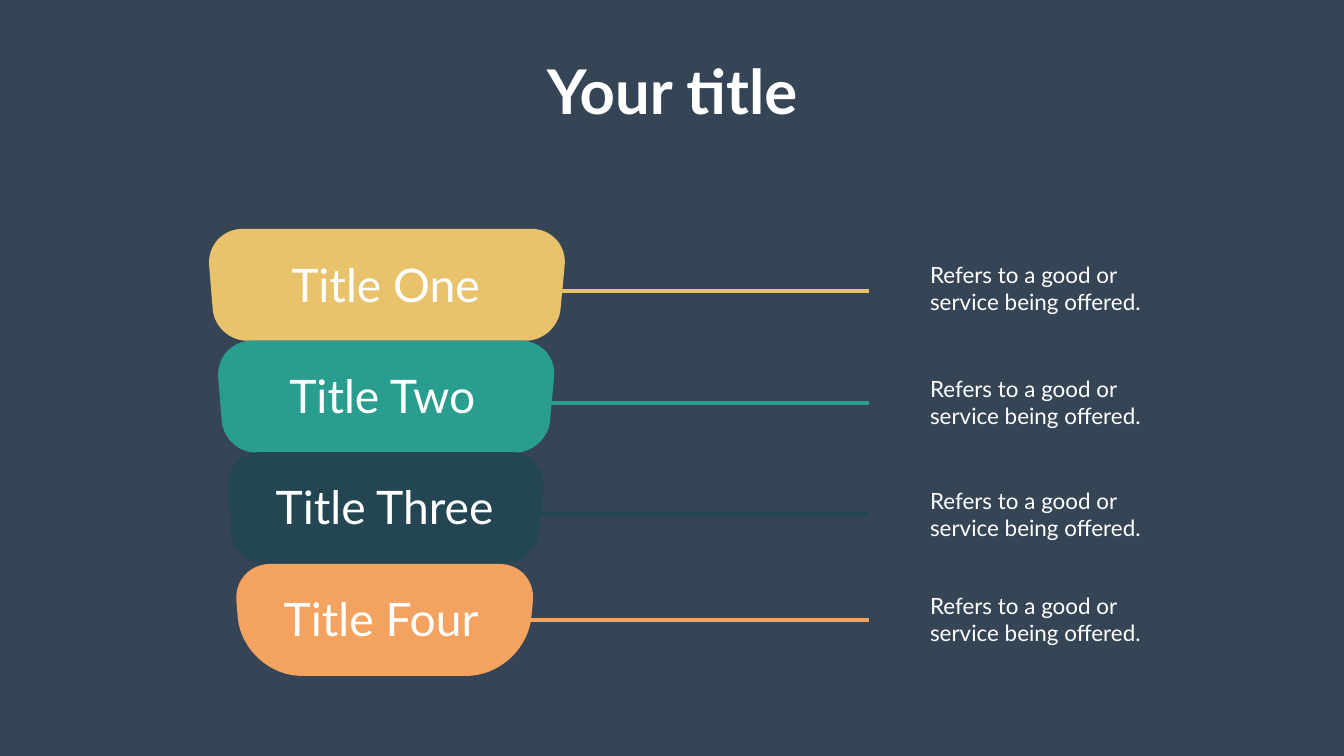
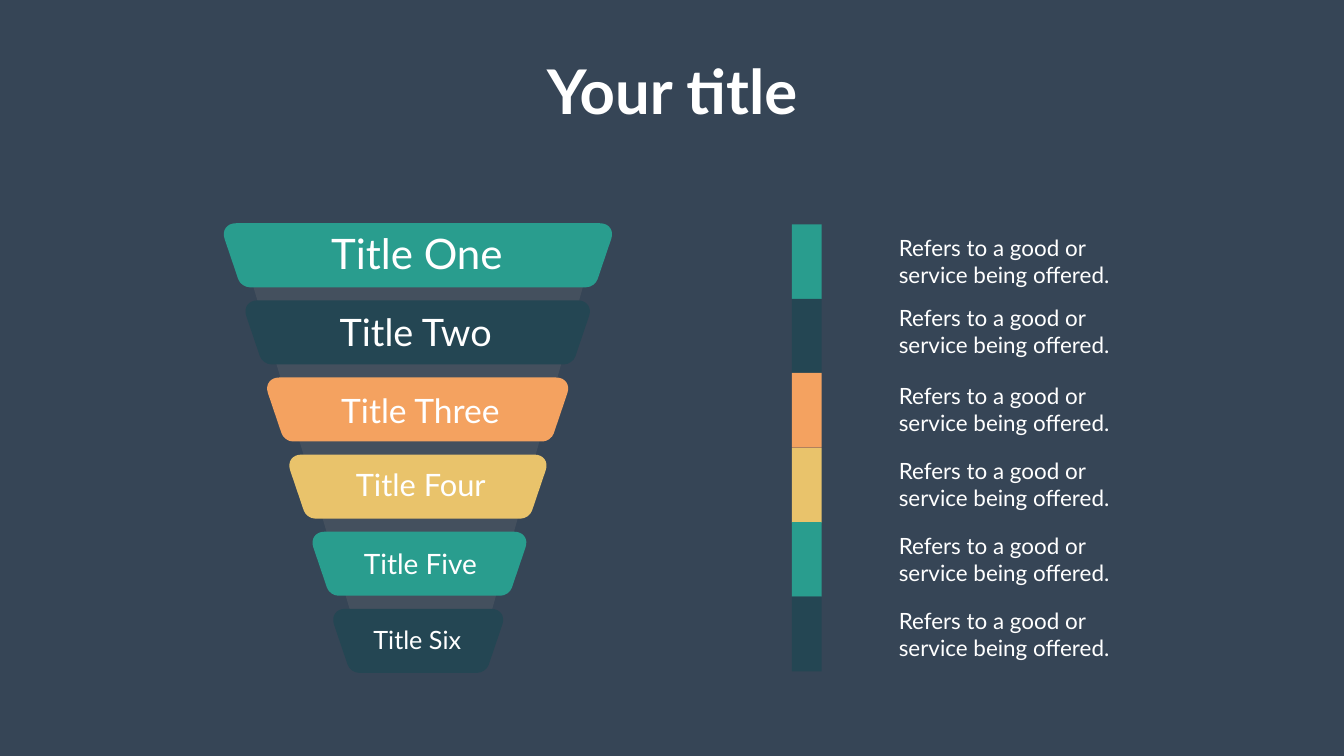
from typing import NamedTuple

from lxml.etree import SubElement
from pptx import Presentation
from pptx.dml.color import RGBColor
from pptx.enum.shapes import MSO_CONNECTOR, MSO_SHAPE
from pptx.enum.text import MSO_AUTO_SIZE, PP_ALIGN
from pptx.oxml.ns import qn
from pptx.shapes.autoshape import Shape
from pptx.slide import Slide
from pptx.util import Emu, Pt

PX = 9144  # EMU per px, 100 px to the inch
SLIDE_W, SLIDE_H = 2666, 1500
FONT = "Lato"
COLORS = {
    "background": "364556",
    "text": "FFFFFF",
    "yellow": "E9C36B",
    "teal": "299D8E",
    "navy": "244653",
    "orange": "F4A260",
    "gray": "808080",
}
DESCRIPTION = "Refers to a good or\nservice being offered."

Point = tuple[float, float]


class Box(NamedTuple):
    left: int
    top: int
    width: int
    height: int


class Cup(NamedTuple):
    color: str
    label: str
    label_box: Box
    line_y: int
    note_top: int
    bottom_cut: int = 63


class Band(NamedTuple):
    color: str
    left: int
    label: str
    size: int
    label_box: Box
    bar_top: int
    note_top: int


CUPS = [
    Cup("yellow", "Title One", Box(568, 504, 400, 121), 577, 514),
    Cup("teal", "Title Two", Box(564, 723, 405, 121), 799, 740),
    Cup("navy", "Title Three", Box(537, 944, 463, 121), 1021, 962),
    Cup("orange", "Title Four", Box(553, 1167, 415, 121), 1230, 1170, bottom_cut=118),
]
BANDS = [
    Band("teal", 435, "Title One", 60, Box(647, 447, 364, 111), 445, 460),
    Band("navy", 478, "Title Two", 54, Box(664, 607, 335, 101), 593, 598),
    Band("orange", 521, "Title Three", 48, Box(667, 769, 342, 91), 740, 753),
    Band("yellow", 565, "Title Four", 44, Box(696, 920, 283, 84), 889, 903),
    Band("teal", 611, "Title Five", 40, Box(712, 1079, 248, 77), 1036, 1051),
    Band("navy", 652, "Title Six", 36, Box(731, 1234, 196, 71), 1184, 1199),
]


def px(value: float) -> Emu:
    return Emu(round(value * PX))


def rgb(name: str) -> RGBColor:
    return RGBColor.from_string(COLORS[name])


def paint(sp: Shape, color: str) -> None:
    sp.shadow.inherit = False
    sp.fill.solid()
    sp.fill.fore_color.rgb = rgb(color)
    sp.line.fill.background()


def add_text(slide: Slide, text: str, box: Box, size: int,
             bold: bool = False, align: PP_ALIGN = PP_ALIGN.LEFT) -> None:
    tf = slide.shapes.add_textbox(*map(px, box)).text_frame
    tf.word_wrap = False
    tf.auto_size = MSO_AUTO_SIZE.SHAPE_TO_FIT_TEXT
    tf.text = text
    for p in tf.paragraphs:
        p.alignment = align
        for r in p.runs:
            r.font.name = FONT
            r.font.size = Pt(size)
            r.font.bold = bold
            r.font.color.rgb = rgb("text")


def add_title(slide: Slide) -> None:
    add_text(slide, "Your title", Box(1065, 101, 536, 158), 88, True, PP_ALIGN.CENTER)


def add_note(slide: Slide, left: int, top: int) -> None:
    add_text(slide, DESCRIPTION, Box(left, top, 446, 118), 32)


def add_polygon(slide: Slide, points: list[Point], color: str) -> Shape:
    start, *rest = [(px(x), px(y)) for x, y in points]
    builder = slide.shapes.build_freeform(*start)
    builder.add_line_segments(rest, close=True)
    sp = builder.convert_to_shape()
    paint(sp, color)
    return sp


def toward(a: Point, b: Point, distance: float) -> Point:
    """Return the point that lies the given distance from a on the way to b."""
    dx, dy = b[0] - a[0], b[1] - a[1]
    share = distance / (dx * dx + dy * dy) ** 0.5
    return a[0] + dx * share, a[1] + dy * share


def curve_corners(sp: Shape) -> None:
    """Turn each run of three lines that bends round a corner into one cubic curve."""
    lines = list(sp._element.spPr.iter(qn("a:lnTo")))
    for i in range(0, 16, 4):
        curve = lines[i].makeelement(qn("a:cubicBezTo"))
        lines[i].addprevious(curve)
        for line in lines[i:i + 3]:
            curve.append(line[0])
            line.getparent().remove(line)


def add_rounded_trapezoid(slide: Slide, box: Box, left_inset: int, right_inset: int,
                          top_cut: int, bottom_cut: int, color: str) -> None:
    """Draw a trapezoid that narrows downwards; the box holds its unrounded corners."""
    left, top, width, height = box
    right, bottom = left + width, top + height
    corners = [(left, top), (right, top),
               (right - right_inset, bottom), (left + left_inset, bottom)]
    cuts = [top_cut, top_cut, bottom_cut, bottom_cut]
    points = []
    for i, (corner, cut) in enumerate(zip(corners, cuts)):
        before, after = corners[i - 1], corners[(i + 1) % 4]
        points += [toward(corner, before, cut), toward(corner, before, cut * 0.45),
                   toward(corner, after, cut * 0.45), toward(corner, after, cut)]
    curve_corners(add_polygon(slide, points, color))


def add_line(slide: Slide, y: int, color: str) -> None:
    line = slide.shapes.add_connector(MSO_CONNECTOR.STRAIGHT, px(1723), px(y), px(997), px(y))
    line.line.color.rgb = rgb(color)
    line.line.width = Pt(6)
    SubElement(line._element.spPr, qn("a:effectLst"))


def new_slide(prs: Presentation) -> Slide:
    slide = prs.slides.add_slide(prs.slide_layouts[6])
    slide.background.fill.solid()
    slide.background.fill.fore_color.rgb = rgb("background")
    return slide


def build_cup_slide(prs: Presentation) -> None:
    slide = new_slide(prs)
    left_inset, right_inset = 18, 21
    for cup in reversed(CUPS):
        add_line(slide, cup.line_y, cup.color)
    for i, cup in enumerate(CUPS):
        box = Box(409 + left_inset * i, round(453.7 + 221.8 * i),
                  718 - (left_inset + right_inset) * i, 222)
        add_rounded_trapezoid(slide, box, left_inset, right_inset, 73, cup.bottom_cut, cup.color)
    add_title(slide)
    for cup in CUPS:
        add_note(slide, 1835, cup.note_top)
    for cup in CUPS:
        add_text(slide, cup.label, cup.label_box, 66)


def build_funnel_slide(prs: Presentation) -> None:
    slide = new_slide(prs)
    backdrop = add_polygon(slide, [(487, 517), (1171, 517), (945, 1320), (727, 1320)], "gray")
    color = backdrop._element.spPr.find(qn("a:solidFill")).find(qn("a:srgbClr"))
    SubElement(color, qn("a:alpha"), val="20000")
    for i, band in enumerate(BANDS):
        box = Box(band.left, 443 + 153 * i, round(788 - 86.6 * i), 127)
        add_rounded_trapezoid(slide, box, 43, 43, 33, 17, band.color)
    for band in BANDS:
        bar_box = Box(1571, band.bar_top, 59, 148)
        paint(slide.shapes.add_shape(MSO_SHAPE.RECTANGLE, *map(px, bar_box)), band.color)
    for band in BANDS:
        add_text(slide, band.label, band.label_box, band.size)
    for band in BANDS:
        add_note(slide, 1773, band.note_top)
    add_title(slide)


def main() -> None:
    prs = Presentation()
    prs.slide_width, prs.slide_height = px(SLIDE_W), px(SLIDE_H)
    build_cup_slide(prs)
    build_funnel_slide(prs)
    prs.save("out.pptx")


if __name__ == "__main__":
    main()
